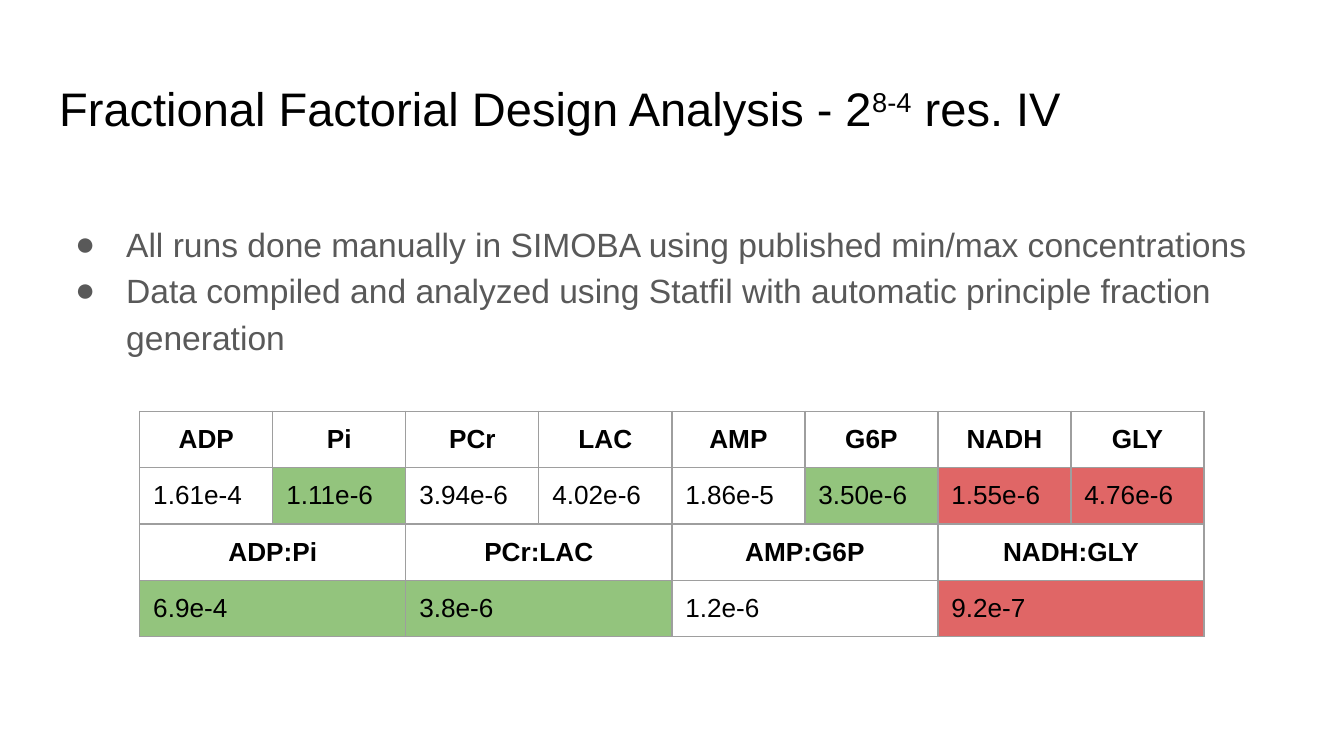
from pptx import Presentation
from pptx.dml.color import RGBColor
from pptx.enum.text import MSO_ANCHOR, MSO_AUTO_SIZE, PP_ALIGN
from pptx.oxml.ns import qn
from pptx.util import Inches, Pt
from lxml import etree

LEFT, CENTER = PP_ALIGN.LEFT, PP_ALIGN.CENTER
TOP, MIDDLE = MSO_ANCHOR.TOP, MSO_ANCHOR.MIDDLE
NO_AUTOFIT = MSO_AUTO_SIZE.NONE

FONT = "Arial"
BLACK, GRAY, BORDER = "000000", "595959", "9E9E9E"
WHITE, GREEN, RED = "FFFFFF", "93C47D", "E06666"

TITLE_LAYOUT = 5
SLIDE_WIDTH = 10
SLIDE_HEIGHT = SLIDE_WIDTH * 9 / 16
MARGIN = 0.34
CONTENT_WIDTH = SLIDE_WIDTH - 2 * MARGIN
INSET = 0.1
COLUMNS, COLUMN_WIDTH, ROW_HEIGHT = 8, 0.99, 0.42
TABLE_LEFT = (SLIDE_WIDTH - COLUMNS * COLUMN_WIDTH) / 2
TABLE_TOP = 3.06

TITLE_PARTS = [("Fractional Factorial Design Analysis - 2", 0), ("8-4", 30), (" res. IV", 0)]
BULLETS = [
    "All runs done manually in SIMOBA using published min/max concentrations",
    "Data compiled and analyzed using Statfil with automatic principle fraction generation",
]
FACTORS = ["ADP", "Pi", "PCr", "LAC", "AMP", "G6P", "NADH", "GLY"]
FACTOR_RESULTS = [
    ("1.61e-4", None), ("1.11e-6", GREEN), ("3.94e-6", None), ("4.02e-6", None),
    ("1.86e-5", None), ("3.50e-6", GREEN), ("1.55e-6", RED), ("4.76e-6", RED),
]
PAIRS = [f"{first}:{second}" for first, second in zip(FACTORS[::2], FACTORS[1::2])]
PAIR_RESULTS = [("6.9e-4", GREEN), ("3.8e-6", GREEN), ("1.2e-6", None), ("9.2e-7", RED)]


def color(value):
    return RGBColor.from_string(value)


def format_runs(paragraph, size, font_color, bold=False):
    for run in paragraph.runs:
        run.font.name = FONT
        run.font.size = Pt(size)
        run.font.bold = bold
        run.font.color.rgb = color(font_color)


def set_insets(target):
    target.margin_left = target.margin_right = Inches(INSET)
    target.margin_top = target.margin_bottom = Inches(INSET)


def format_frame(text_frame, anchor):
    set_insets(text_frame)
    text_frame.word_wrap = True
    text_frame.auto_size = NO_AUTOFIT
    text_frame.vertical_anchor = anchor


def add_title(slide):
    title = slide.shapes.title
    title.left, title.top = Inches(MARGIN), Inches(0.49)
    title.width, title.height = Inches(CONTENT_WIDTH), Inches(0.63)
    format_frame(title.text_frame, MIDDLE)
    paragraph = title.text_frame.paragraphs[0]
    paragraph.alignment = LEFT
    for text, raised_percent in TITLE_PARTS:
        run = paragraph.add_run()
        run.text = text
        if raised_percent:
            run._r.get_or_add_rPr().set("baseline", str(raised_percent * 1000))
    format_runs(paragraph, 25.2, BLACK)


def set_bullet(paragraph):
    properties = paragraph._p.get_or_add_pPr()
    properties.set("marL", str(Inches(0.5)))
    properties.set("indent", str(Inches(-0.38)))
    bullet_color = etree.SubElement(properties, qn("a:buClr"))
    etree.SubElement(bullet_color, qn("a:srgbClr"), val=GRAY)
    etree.SubElement(properties, qn("a:buFont"), typeface=FONT)
    etree.SubElement(properties, qn("a:buChar"), char="●")


def add_bullets(slide):
    box = slide.shapes.add_textbox(
        Inches(MARGIN), Inches(1.52), Inches(CONTENT_WIDTH), Inches(3.47))
    text_frame = box.text_frame
    format_frame(text_frame, TOP)
    text_frame.text = "\n".join(BULLETS)
    for paragraph in text_frame.paragraphs:
        paragraph.line_spacing = 1.15
        set_bullet(paragraph)
        format_runs(paragraph, 18, GRAY)


def set_fill(cell, fill):
    if fill is None:
        cell.fill.background()
    else:
        cell.fill.solid()
        cell.fill.fore_color.rgb = color(fill)


def set_borders(cell):
    properties = cell._tc.get_or_add_tcPr()
    for position, side in enumerate(("a:lnL", "a:lnR", "a:lnT", "a:lnB")):
        line = etree.Element(qn(side), w=str(Pt(0.75)))
        fill = etree.SubElement(line, qn("a:solidFill"))
        etree.SubElement(fill, qn("a:srgbClr"), val=BORDER)
        properties.insert(position, line)


def fill_row(table, row, entries, heading=False):
    """Spread the entries evenly over the columns, merging where needed."""
    span = COLUMNS // len(entries)
    for index, (text, fill) in enumerate(entries):
        column = index * span
        cell = table.cell(row, column)
        if span > 1:
            cell.merge(table.cell(row, column + span - 1))
        cell.text_frame.text = text
        paragraph = cell.text_frame.paragraphs[0]
        paragraph.alignment = CENTER if heading else LEFT
        format_runs(paragraph, 14, BLACK, bold=heading)
        for offset in range(span):
            part = table.cell(row, column + offset)
            set_insets(part)
            set_fill(part, fill)
            set_borders(part)


def add_results_table(slide):
    sections = [(FACTORS, FACTOR_RESULTS), (PAIRS, PAIR_RESULTS)]
    rows = 2 * len(sections)
    table = slide.shapes.add_table(
        rows, COLUMNS, Inches(TABLE_LEFT), Inches(TABLE_TOP),
        Inches(COLUMNS * COLUMN_WIDTH), Inches(rows * ROW_HEIGHT)).table
    table.first_row = table.horz_banding = False
    for index, (headings, results) in enumerate(sections):
        fill_row(table, 2 * index, [(text, None) for text in headings], heading=True)
        fill_row(table, 2 * index + 1, results)


def main():
    presentation = Presentation()
    presentation.slide_width = Inches(SLIDE_WIDTH)
    presentation.slide_height = Inches(SLIDE_HEIGHT)
    slide = presentation.slides.add_slide(presentation.slide_layouts[TITLE_LAYOUT])
    add_title(slide)
    add_results_table(slide)
    add_bullets(slide)
    presentation.save("out.pptx")


if __name__ == "__main__":
    main()
